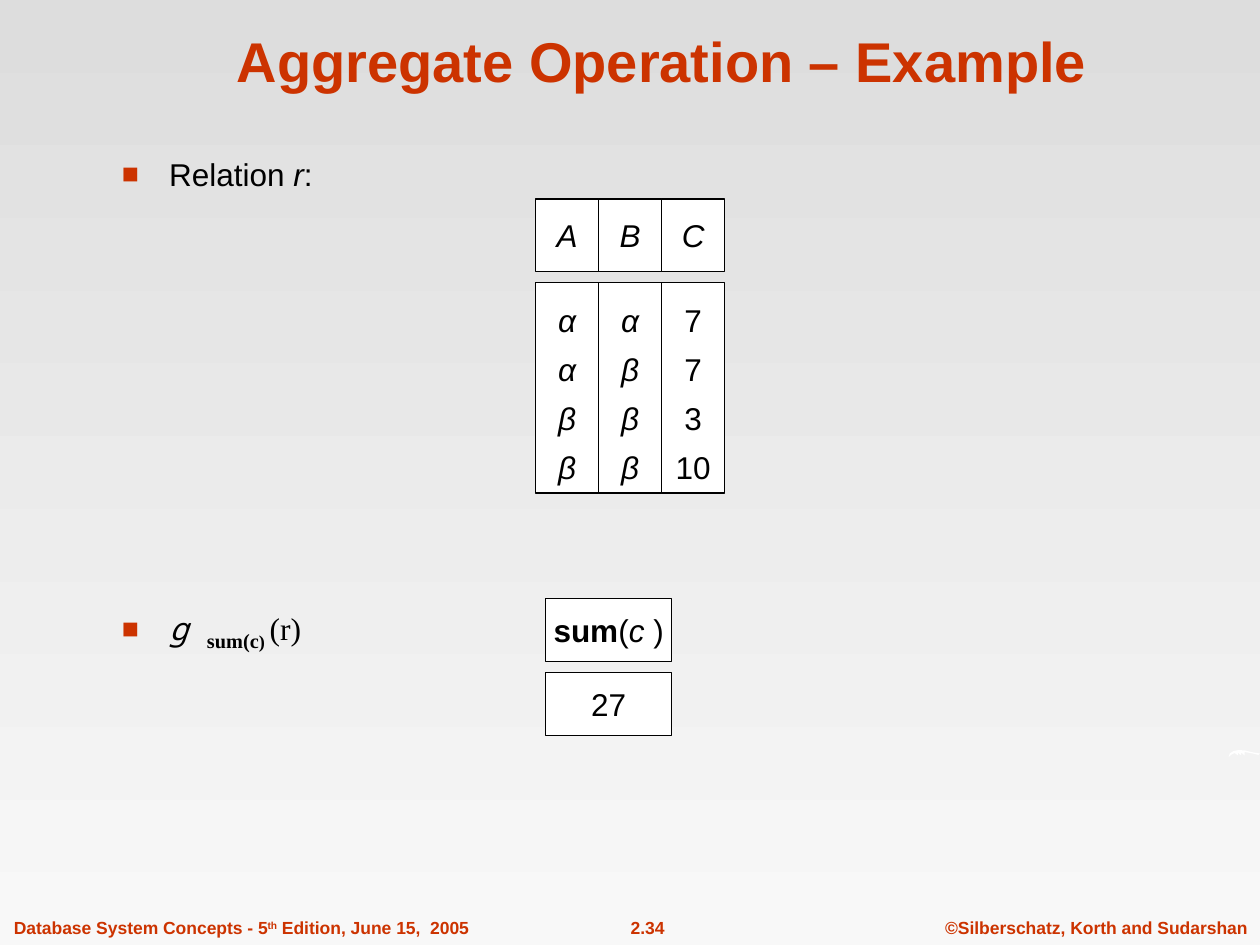
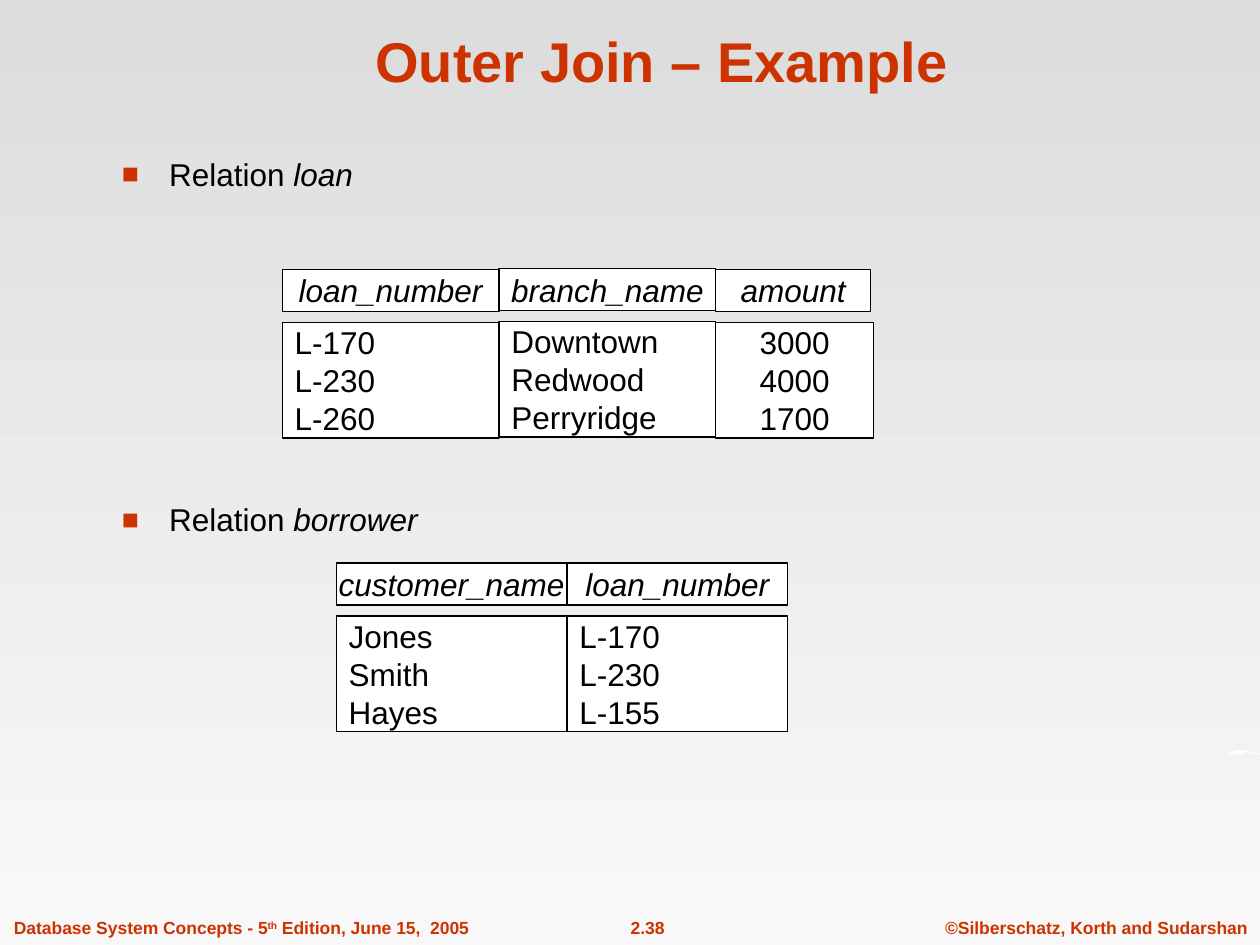
from dataclasses import dataclass

from lxml.etree import SubElement
from pptx import Presentation
from pptx.dml.color import RGBColor as RGB
from pptx.enum.shapes import MSO_SHAPE as SHAPE
from pptx.enum.text import MSO_ANCHOR as ANCHOR, MSO_AUTO_SIZE as AUTO, PP_ALIGN as ALIGN
from pptx.oxml.ns import qn
from pptx.util import Cm, Pt

COLORS = {
    "accent": "CC3300",
    "text": "000000",
    "cell": "FFFFFF",
    "bg_top": "DDDDDD",
    "bg_bottom": "F8F8F8",
}
BODY = {"name": "Arial", "size": Pt(18), "color": "text"}
TITLE = {"name": "Arial", "size": Pt(32), "color": "accent", "bold": True}
FOOTER = {**TITLE, "size": Pt(10)}
ITALIC = {"italic": True}
SERIF = {"name": "Times New Roman"}
SUBSCRIPT = {**SERIF, "bold": True, "baseline": -25000}

CURL = [
    (2477, 1526), (2479, 1519), (2487, 1514), (2497, 1512), (2510, 1513),
    (2527, 1517), (2540, 1519), (2537, 1522), (2525, 1519), (2509, 1516),
    (2509, 1523), (2502, 1517), (2502, 1523), (2495, 1517), (2496, 1523),
    (2489, 1518), (2483, 1521),
]
GAP = 0.22


@dataclass
class Column:
    head: object
    width: float
    values: list
    align: ALIGN = ALIGN.CENTER
    style: dict = None
    body_width: float = None
    shift: float = 0


def rgb(name):
    return RGB.from_string(COLORS[name])


def box(x, y, w, h):
    return Cm(x), Cm(y), Cm(w), Cm(h)


def add_runs(p, runs, base):
    for text, changes in runs:
        r = p.add_run()
        r.text = text
        for key, value in {**base, **changes}.items():
            if key == "color":
                r.font.color.rgb = rgb(value)
            elif key == "baseline":
                r._r.get_or_add_rPr().set("baseline", str(value))
            else:
                setattr(r.font, key, value)


def fill_text(tf, lines, base, align=ALIGN.LEFT, anchor=ANCHOR.TOP, **spacing):
    frame = {
        "word_wrap": align == ALIGN.LEFT,
        "auto_size": AUTO.NONE,
        "vertical_anchor": anchor,
        "margin_left": Cm(0.25),
        "margin_right": Cm(0.25),
        "margin_top": Cm(0.13),
        "margin_bottom": Cm(0.13),
    }
    for key, value in frame.items():
        setattr(tf, key, value)
    for i, runs in enumerate(lines):
        p = tf.add_paragraph() if i else tf.paragraphs[0]
        for key, value in {"alignment": align, **spacing}.items():
            setattr(p, key, value)
        add_runs(p, [(runs, {})] if isinstance(runs, str) else runs, base)


def add_text(s, place, runs, base, **layout):
    tf = s.shapes.add_textbox(*box(*place)).text_frame
    fill_text(tf, [runs], base, **layout)
    return tf


def add_bullet(s, y, w, runs):
    tf = add_text(s, (2.21, y, w, 1.5), runs, BODY, space_before=Pt(7.9))
    pPr = tf.paragraphs[0]._p.get_or_add_pPr()
    pPr.set("marL", str(Cm(0.95)))
    pPr.set("indent", str(-Cm(0.95)))
    color = SubElement(pPr, qn("a:buClr"))
    SubElement(color, qn("a:srgbClr"), val=COLORS["accent"])
    SubElement(pPr, qn("a:buSzPct"), val="90000")
    SubElement(pPr, qn("a:buFont"), typeface="Arial")
    SubElement(pPr, qn("a:buChar"), char="■")


def add_cell(s, place, lines, style, align=ALIGN.CENTER, **spacing):
    sp = s.shapes.add_shape(SHAPE.RECTANGLE, *box(*place))
    sp.shadow.inherit = False
    sp.fill.solid()
    sp.fill.fore_color.rgb = rgb("cell")
    sp.line.color.rgb = rgb("text")
    sp.line.width = Pt(0.75)
    fill_text(sp.text_frame, lines, {**BODY, **style}, align, ANCHOR.MIDDLE, **spacing)


def add_relation(s, x, y, head_h, body_h, columns, **spacing):
    for col in columns:
        top = y + col.shift
        head_style = ITALIC if isinstance(col.head, str) else {}
        add_cell(s, (x, top, col.width, head_h), [col.head], head_style)
        add_cell(s, (x, top + head_h + GAP, col.body_width or col.width, body_h),
                 col.values, col.style or {}, col.align, **spacing)
        x += col.width


def add_curl(s):
    start, *rest = CURL
    builder = s.shapes.build_freeform(*start, scale=Cm(0.01))
    builder.add_line_segments(rest, close=True)
    sp = builder.convert_to_shape()
    sp.shadow.inherit = False
    sp.fill.solid()
    sp.fill.fore_color.rgb = rgb("cell")
    sp.line.fill.background()


def add_footer(s, number):
    edition = [("Database System Concepts - 5", {}), ("th", {"baseline": 30000}),
               (" Edition, June 15,  2005", {})]
    footers = [
        (0.03, 9.68, edition, ALIGN.LEFT),
        (11.81, 2.49, number, ALIGN.CENTER),
        (18.8, 6.6, "©Silberschatz, Korth and Sudarshan", ALIGN.CENTER),
    ]
    for x, w, runs, align in footers:
        add_text(s, (x, 18.36, w, 0.69), runs, FOOTER, align=align, space_before=Pt(6.2))


def set_background(master):
    fill = master.background.fill
    fill.gradient()
    fill.gradient_angle = 270
    for stop, name, position in zip(fill.gradient_stops, ("bg_top", "bg_bottom"), (0, 1)):
        stop.color.rgb = rgb(name)
        stop.position = position


def add_slide(prs, title, number):
    s = prs.slides.add_slide(prs.slide_layouts[5])
    add_footer(s, number)
    add_curl(s)
    sp = s.shapes.title
    sp.left, sp.top, sp.width, sp.height = box(2.13, 0.33, 22.43, 1.7)
    fill_text(sp.text_frame, [title], TITLE, ALIGN.CENTER, ANCHOR.BOTTOM)
    return s


def aggregate_slide(prs):
    s = add_slide(prs, "Aggregate Operation – Example", "2.34")
    add_bullet(s, 3, 4.9, [("Relation ", {}), ("r", ITALIC), (":", {})])
    add_relation(s, 10.8, 4.01, 1.47, 4.24, [
        Column("A", 1.27, ["α", "α", "β", "β"], style=ITALIC),
        Column("B", 1.27, ["α", "β", "β", "β"], style=ITALIC),
        Column("C", 1.27, ["7", "7", "3", "10"]),
    ], line_spacing=1.3)
    add_bullet(s, 12.07, 5.59, [
        ("g ", {"name": "Noto Sans Mono", **ITALIC}),
        ("sum(c", {**SUBSCRIPT, "size": Pt(20)}),
        (") ", SUBSCRIPT),
        ("(r)", SERIF),
    ])
    total = [("sum", {"bold": True}), ("(", {}), ("c ", ITALIC), (")", {})]
    add_relation(s, 11, 12.07, 1.27, 1.27, [Column(total, 2.54, ["27"])])


def outer_join_slide(prs):
    s = add_slide(prs, "Outer Join – Example", "2.38")
    add_bullet(s, 3, 19.05, [("Relation ", {}), ("loan", ITALIC)])
    add_relation(s, 5.69, 5.43, 0.85, 2.33, [
        Column("loan_number", 4.37, ["L-170", "L-230", "L-260"], ALIGN.LEFT),
        Column("branch_name", 4.37, ["Downtown", "Redwood", "Perryridge"], ALIGN.LEFT,
               shift=-0.02),
        Column("amount", 3.12, ["3000", "4000", "1700"], body_width=3.18),
    ])
    add_bullet(s, 9.96, 19.53, [("Relation ", {}), ("borrower", ITALIC)])
    add_relation(s, 6.78, 11.35, 0.85, 2.33, [
        Column("customer_name", 4.65, ["Jones", "Smith", "Hayes"], ALIGN.LEFT),
        Column("loan_number", 4.45, ["L-170", "L-230", "L-155"], ALIGN.LEFT),
    ])


def main():
    prs = Presentation()
    prs.slide_width, prs.slide_height = Cm(25.4), Cm(19.05)
    set_background(prs.slide_master)
    aggregate_slide(prs)
    outer_join_slide(prs)
    prs.save("out.pptx")


if __name__ == "__main__":
    main()
